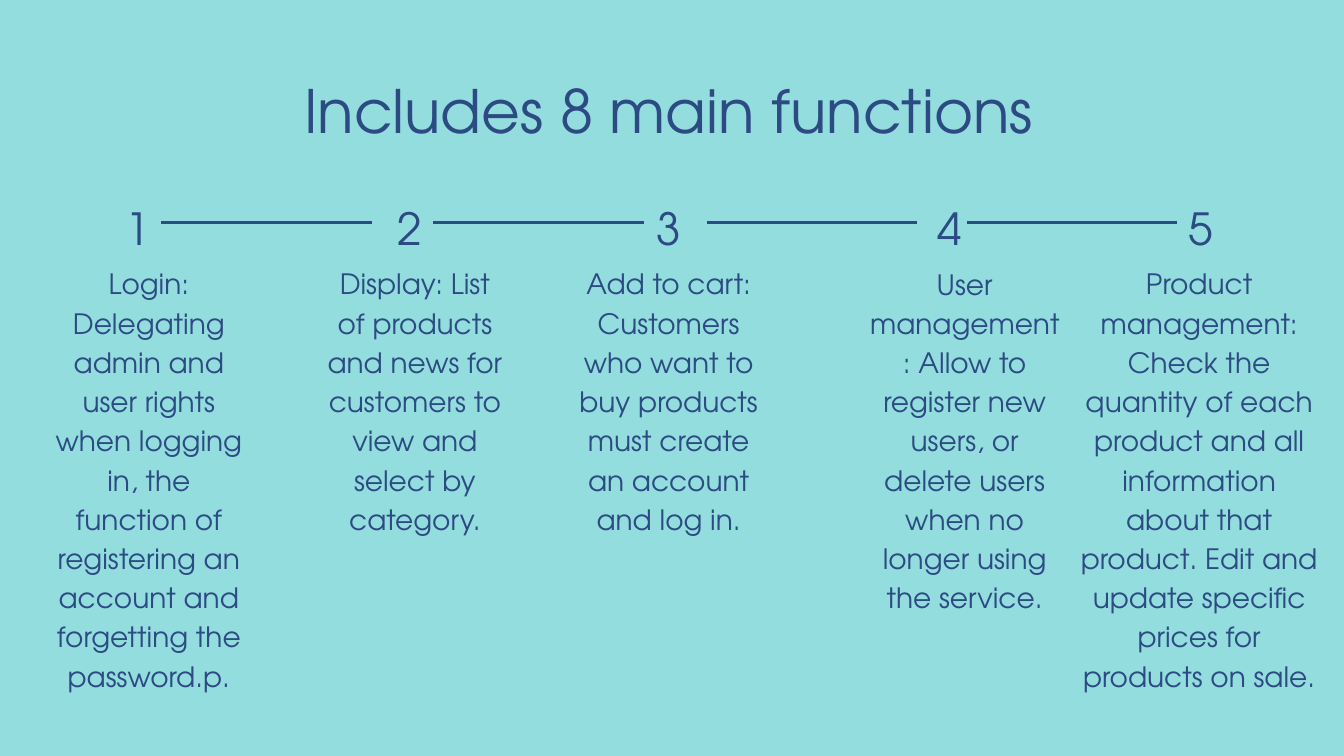
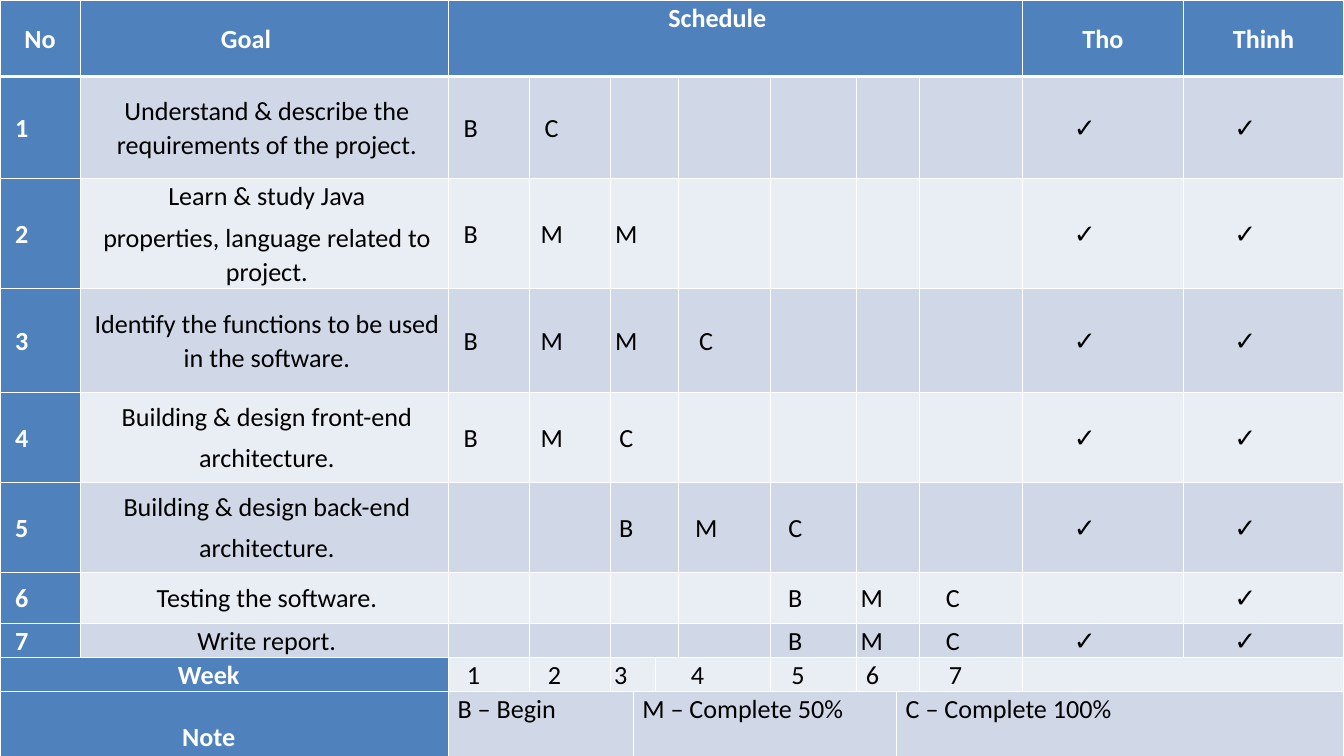
from dataclasses import dataclass, replace
from typing import Optional

from lxml.etree import SubElement
from pptx import Presentation
from pptx.dml.color import RGBColor
from pptx.enum.shapes import MSO_CONNECTOR as Connector
from pptx.enum.text import MSO_ANCHOR as Anchor, MSO_AUTO_SIZE as AutoSize, PP_ALIGN as Align
from pptx.oxml import parse_xml
from pptx.oxml.ns import nsdecls, qn
from pptx.util import Inches, Pt

# Shared colours and slide grid: 100 columns by 100 rows
AQUA = RGBColor(0x94, 0xDD, 0xDE)
NAVY = RGBColor(0x2B, 0x4B, 0x82)
BLUE = RGBColor(0x4F, 0x81, 0xBD)
DARK_BAND = RGBColor(0xD0, 0xD8, 0xE8)
LIGHT_BAND = RGBColor(0xE9, 0xED, 0xF4)
WHITE = RGBColor(0xFF, 0xFF, 0xFF)
BLACK = RGBColor(0x00, 0x00, 0x00)
WIDTH, HEIGHT = Inches(20), Inches(11.25)
TITLE_ONLY, BLANK = 5, 6


def cols(share: float) -> int:
    return round(WIDTH * share / 100)


def rows(share: float) -> int:
    return round(HEIGHT * share / 100)


@dataclass(frozen=True)
class Look:
    size: float
    color: RGBColor
    spacing: object
    font: str = "TeX Gyre Adventor"
    bold: bool = False
    align: Align = Align.CENTER
    after: float = 0
    tracking: float = 0
    indent: float = 0
    right: float = 0
    anchor: Anchor = Anchor.TOP
    heading: bool = False


TITLE = Look(64, NAVY, Pt(76.8))
BODY = Look(30, NAVY, Pt(42))
NUMBER = Look(47.4, NAVY, Pt(66.4), tracking=8.1)

# Table looks; most cells keep a right indent
HEAD = Look(28, WHITE, 1.07, font="Calibri", bold=True, after=8,
            anchor=Anchor.MIDDLE, heading=True)
HEAD_INSET = replace(HEAD, right=0.54)
SCHEDULE = replace(HEAD_INSET, anchor=Anchor.TOP)
SIDE = replace(HEAD_INSET, indent=0.08)
MARK = replace(HEAD_INSET, color=BLACK, bold=False, heading=False)
GOAL = replace(MARK, indent=0.08, right=0)
WEEK = replace(MARK, indent=0.08)
NOTE = replace(GOAL, align=Align.LEFT, anchor=Anchor.TOP)


@dataclass(frozen=True)
class Step:
    number_left: float
    text_left: float
    text_width: float
    lines: int
    text: str
    link_start: Optional[float] = None
    joins_start: bool = False
    joins_end: bool = False


STEPS = [
    Step(8.45, 3.95, 14.25, 11, "Login: Delegating admin and user rights when logging in, "
         "the function of registering an account and forgetting the password.p.",
         12.05, joins_start=True),
    Step(28.7, 24.3, 13.15, 7, "Display: List of products and news for customers to view "
         "and select by category.", 32.35, joins_start=True, joins_end=True),
    Step(47.95, 42.5, 14.5, 7, "Add to cart: Customers who want to buy products must create "
         "an account and log in.", 52.6),
    Step(68.9, 64.45, 14.65, 9, "User management: Allow to register new users, or delete users "
         "when no longer using the service.", 71.95, joins_end=True),
    Step(87.55, 80.15, 18.15, 11, "Product management: Check the quantity of each product and "
         "all information about that product. Edit and update specific prices for products "
         "on sale."),
]
NUMBER_TOP, NUMBER_WIDTH, NUMBER_HEIGHT = 25.51, 3.55, 7.82
LINK_LENGTH = 15.6


@dataclass(frozen=True)
class Goal:
    text: str
    first_week: int
    stages: str
    checks: tuple = (True, True)


GOALS = [
    Goal("Understand & describe the requirements of the project.", 1, "BC"),
    Goal("Learn & study Java\nproperties, language related to project.", 1, "BMM"),
    Goal("Identify the functions to be used in the software.", 1, "BMMC"),
    Goal("Building & design front-end\narchitecture.", 1, "BMC"),
    Goal("Building & design back-end\narchitecture.", 3, "BMC"),
    Goal("Testing the software.", 5, "BMC", (False, True)),
    Goal("Write report.", 5, "BMC"),
]
TABLE_COLS = [5.95, 27.4, 6.05, 6, 1.7, 1.7, 1.7, 6.8, 6.45, 2.95, 1.7, 7.7, 11.95, 11.95]
TABLE_ROWS = [10.13, 13.51, 11.91, 13.69, 11.91, 11.91, 6.76, 3.47, 3.73, 11.91]
# First column and span of each week, in the goal rows and in the week row
GOAL_SLOTS = [(2, 1), (3, 1), (4, 3), (7, 1), (8, 1), (9, 2), (11, 1)]
WEEK_SLOTS = [(2, 1), (3, 1), (4, 2), (6, 2), (8, 1), (9, 2), (11, 1)]
NOTES = [(2, 3, "B – Begin"), (5, 5, "M – Complete 50%"), (10, 4, "C – Complete 100%")]
PERSON_COLS = (12, 13)


def apply(target, values: dict) -> None:
    for name, value in values.items():
        setattr(target, name, value)


def write(frame, text: str, look: Look) -> None:
    for index, words in enumerate(text.split("\n")):
        para = frame.add_paragraph() if index else frame.paragraphs[0]
        apply(para, {"alignment": look.align, "line_spacing": look.spacing,
                     "space_before": Pt(0), "space_after": Pt(look.after)})
        properties = para._p.get_or_add_pPr()
        for name, inches in {"marL": look.indent, "marR": look.right, "indent": 0}.items():
            properties.set(name, str(Inches(inches)))
        span = para.add_run()
        span.text = words
        apply(span.font, {"name": look.font, "size": Pt(look.size), "bold": look.bold})
        span.font.color.rgb = look.color
        if look.tracking:
            span._r.get_or_add_rPr().set("spc", str(round(look.tracking * 100)))


def fill_box(box, text: str, look: Look) -> None:
    apply(box.text_frame, {"word_wrap": True, "auto_size": AutoSize.NONE,
                           "vertical_anchor": look.anchor, "margin_left": 0,
                           "margin_right": 0, "margin_top": 0, "margin_bottom": 0})
    write(box.text_frame, text, look)


def add_box(page, left: float, top: float, width: float, height: float,
            text: str, look: Look):
    box = page.shapes.add_textbox(cols(left), rows(top), cols(width), rows(height))
    fill_box(box, text, look)
    return box


def add_page(deck, layout: int):
    page = deck.slides.add_slide(deck.slide_layouts[layout])
    page.background.fill.solid()
    page.background.fill.fore_color.rgb = AQUA
    return page


def add_link(page, step: Step, start_box, end_box) -> None:
    middle = rows(NUMBER_TOP + NUMBER_HEIGHT / 2)
    link = page.shapes.add_connector(Connector.STRAIGHT, cols(step.link_start), middle,
                                     cols(step.link_start + LINK_LENGTH), middle)
    if step.joins_start:
        link.begin_connect(start_box, 3)
    if step.joins_end:
        link.end_connect(end_box, 1)
    link.line.color.rgb = NAVY
    link.line.width = Pt(3.23)
    SubElement(link._element.spPr, qn("a:effectLst"))


def build_functions(deck) -> None:
    page = add_page(deck, TITLE_ONLY)
    title = page.shapes.title
    apply(title, {"left": cols(5.6), "top": rows(9.78),
                  "width": cols(88.25), "height": rows(9.6)})
    fill_box(title, "Includes 8 main functions", TITLE)

    # Descriptions, then their numbers and the links between them
    line_share = 100 * BODY.spacing / HEIGHT
    for step in STEPS:
        add_box(page, step.text_left, 34.58, step.text_width,
                step.lines * line_share, step.text, BODY)
    numbers = [add_box(page, step.number_left, NUMBER_TOP, NUMBER_WIDTH, NUMBER_HEIGHT,
                       str(number), NUMBER)
               for number, step in enumerate(STEPS, 1)]
    for step, start_box, end_box in zip(STEPS, numbers, numbers[1:]):
        add_link(page, step, start_box, end_box)


def style_cell(cell, row: int) -> None:
    cell.fill.solid()
    cell.fill.fore_color.rgb = DARK_BAND if row % 2 else LIGHT_BAND
    apply(cell, {"margin_left": Inches(0.06), "margin_right": Inches(0.06),
                 "margin_top": 0, "margin_bottom": 0})
    widths = {"lnL": 1, "lnR": 1, "lnT": 3 if row == 1 else 1, "lnB": 1 if row else 3}
    for index, (side, width) in enumerate(widths.items()):
        cell._tc.get_or_add_tcPr().insert(index, parse_xml(
            f'<a:{side} {nsdecls("a")} w="{Pt(width)}"><a:solidFill>'
            f'<a:srgbClr val="{WHITE}"/></a:solidFill></a:{side}>'))


def put(table, row: int, column: int, text: str, look: Look, span: int = 1) -> None:
    cell = table.cell(row, column)
    if span > 1:
        cell.merge(table.cell(row, column + span - 1))
    if look.heading:
        for offset in range(span):
            table.cell(row, column + offset).fill.fore_color.rgb = BLUE
    cell.vertical_anchor = look.anchor
    if text:
        write(cell.text_frame, text, look)


def build_schedule(deck) -> None:
    page = add_page(deck, BLANK)
    table = page.shapes.add_table(len(TABLE_ROWS), len(TABLE_COLS), 0, 0,
                                  WIDTH, rows(sum(TABLE_ROWS))).table
    for column, share in zip(table.columns, TABLE_COLS):
        column.width = cols(share)
    for index, (row, share) in enumerate(zip(table.rows, TABLE_ROWS)):
        row.height = rows(share)
        for cell in row.cells:
            style_cell(cell, index)

    # Header row
    put(table, 0, 0, "No", HEAD)
    put(table, 0, 1, "Goal", HEAD_INSET)
    put(table, 0, 2, "Schedule", SCHEDULE, 10)
    for column, person in zip(PERSON_COLS, ("Tho", "Thinh")):
        put(table, 0, column, person, HEAD)

    # Goals with their stages and the people on them
    for row, goal in enumerate(GOALS, 1):
        put(table, row, 0, str(row), HEAD_INSET)
        put(table, row, 1, goal.text, GOAL)
        stages = dict(enumerate(goal.stages, goal.first_week))
        for week, (column, span) in enumerate(GOAL_SLOTS, 1):
            put(table, row, column, stages.get(week, ""), MARK, span)
        for column, checked in zip(PERSON_COLS, goal.checks):
            put(table, row, column, "✓" if checked else "", MARK)

    # Week numbers and notes
    week_row, note_row = len(GOALS) + 1, len(GOALS) + 2
    put(table, week_row, 0, "Week", SIDE, 2)
    for week, (column, span) in enumerate(WEEK_SLOTS, 1):
        put(table, week_row, column, str(week), WEEK, span)
    put(table, week_row, PERSON_COLS[0], "", WEEK, 2)
    put(table, note_row, 0, "Note", SIDE, 2)
    for column, span, note in NOTES:
        put(table, note_row, column, note, NOTE, span)


def main() -> None:
    deck = Presentation()
    apply(deck, {"slide_width": WIDTH, "slide_height": HEIGHT})
    build_functions(deck)
    build_schedule(deck)
    deck.save("out.pptx")


if __name__ == "__main__":
    main()
